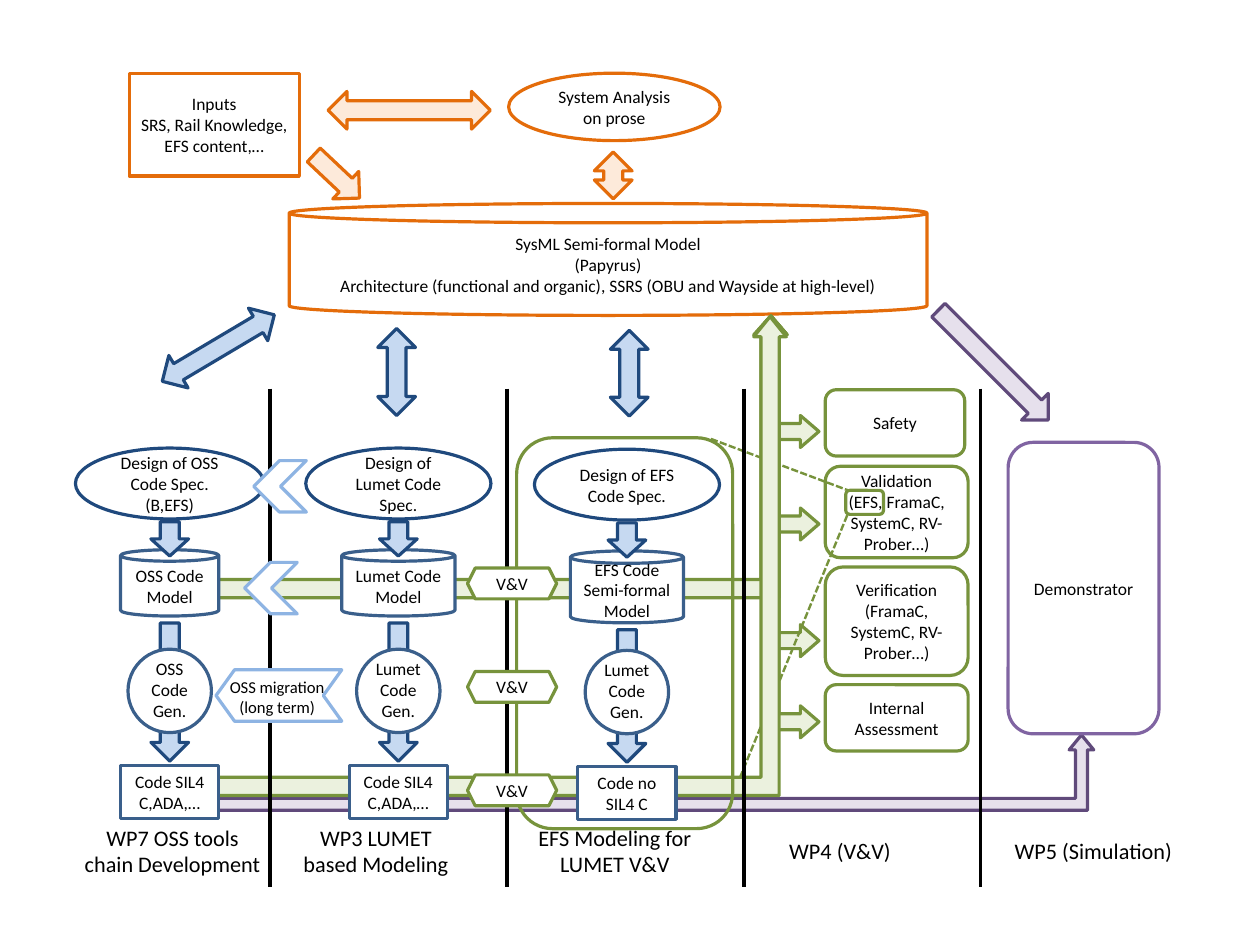
from pptx import Presentation
from pptx.dml.color import RGBColor
from pptx.enum.dml import MSO_LINE as Dash
from pptx.enum.shapes import MSO_CONNECTOR as Link, MSO_SHAPE as Kind
from pptx.enum.text import MSO_ANCHOR as Anchor, PP_ALIGN as Align
from pptx.oxml.ns import qn
from pptx.util import Cm, Inches, Pt
from lxml import etree

CELL = 0.1  # grid cell in inches; all lengths below are in cells
THICK = 3.3
WHITE, BLACK = "FFFFFF", "000000"
ORANGE, PEACH = "E46C0A", "FDEADA"
NAVY, STEEL, SKY, PALE = "1F497D", "3A5F8B", "8EB4E3", "C6D9F1"
GREEN, MINT = "77933C", "EBF1DE"
PLUM, VIOLET, LILAC = "604A7B", "8064A2", "E6E0EC"


def color(code):
    return RGBColor.from_string(code)


def grid(*cells):
    return [Inches(n * CELL) for n in cells]


def write(item, text, size):
    frame = item.text_frame
    frame.text = text
    frame.word_wrap = True
    for para in frame.paragraphs:
        para.alignment = Align.CENTER
        for run in para.runs:
            font = run.font
            font.name, font.size = "Calibri", Pt(size)
            font.color.rgb = color(BLACK)


def shape(slide, kind, box, line, fill=WHITE, text="", adj=(), turn=0):
    item = slide.shapes.add_shape(kind, *grid(*box))
    item.shadow.inherit = False
    item.rotation = turn
    for i, part in enumerate(adj):
        item.adjustments[i] = part
    if fill:
        item.fill.solid()
        item.fill.fore_color.rgb = color(fill)
    else:
        item.fill.background()
    item.line.color.rgb = color(line)
    item.line.width = Pt(2)
    if text:
        write(item, text, 11)
        item.text_frame.vertical_anchor = Anchor.MIDDLE


def label(slide, box, text, size=14, wrap=True):
    item = slide.shapes.add_textbox(*grid(*box))
    write(item, text, size)
    item.text_frame.word_wrap = wrap


def arrow(slide, kind, mid, size, line, fill, turn=0):
    """Block arrow placed by its centre and length."""
    x, y = mid
    box = (x - size / 2, y - THICK / 2, size, THICK)
    shape(slide, kind, box, line, fill, turn=turn)


def rule(slide, start, end, code, width, dash=None):
    item = slide.shapes.add_connector(Link.STRAIGHT, *grid(*start, *end))
    item.line.color.rgb = color(code)
    item.line.width = Pt(width)
    if dash:
        item.line.dash_style = dash
    etree.SubElement(item._element.spPr, qn("a:effectLst"))


def inputs(slide):
    shape(slide, Kind.CAN, (25.3, 17.8, 55.8, 9.8), ORANGE, adj=[0.173],
          text="SysML Semi-formal Model\n(Papyrus)\nArchitecture (functional and "
               "organic), SSRS (OBU and Wayside at high-level)")
    shape(slide, Kind.OVAL, (44.5, 6.4, 18.5, 5.9), ORANGE,
          text="System Analysis on prose")
    shape(slide, Kind.RECTANGLE, (11.3, 6.4, 14.9, 9), ORANGE, None,
          "Inputs\nSRS, Rail Knowledge,\nEFS content,…")
    both = Kind.LEFT_RIGHT_ARROW
    for kind, mid, size, turn in [
        (both, (35.8, 9.65), 14.2, 0),
        (both, (53.65, 15.35), 4.1, 90),
        (Kind.RIGHT_ARROW, (29.45, 15.45), 5.5, 43.3),
    ]:
        arrow(slide, kind, mid, size, ORANGE, PEACH, turn)
    for mid, size, turn in [
        ((19.1, 30.45), 11.4, 149.3),
        ((34.7, 32.55), 7.6, 90),
        ((55.05, 32.65), 7.5, 90),
    ]:
        arrow(slide, both, mid, size, NAVY, PALE, turn)


def checks(slide):
    for y, w, h, text in [
        (34.1, 12.2, 5.8, "Safety"),
        (40.8, 12.5, 8, "Validation\n(EFS, FramaC, SystemC, RV-Prober…)"),
        (49.6, 12.5, 9.5, "Verification\n(FramaC, SystemC, RV-Prober…)"),
        (59.9, 12.5, 5.8, "Internal\vAssessment"),
    ]:
        shape(slide, Kind.ROUNDED_RECTANGLE, (72.2, y, w, h), GREEN, text=text)
    shape(slide, Kind.ROUNDED_RECTANGLE, (88.2, 38.7, 13.2, 25.5), VIOLET,
          text="Demonstrator")
    arrow(slide, Kind.RIGHT_ARROW, (86.9, 31.95), 13.6, PLUM, LILAC, 45)
    mid, top, wide = 68.85, 27.65, 5.6
    for size in (11.5, 19.6, 29.8, 36.9):
        box = (mid - size / 2, top + (size - wide) / 2, size, wide)
        shape(slide, Kind.LEFT_UP_ARROW, box, GREEN, MINT,
              adj=[0.25, 0.25, 0.291], turn=90)


def zoom(slide):
    """Frame around the EFS column, tied to its mention in Validation."""
    shape(slide, Kind.ROUNDED_RECTANGLE, (74, 42.9, 3.3, 2.1), GREEN, None)
    rule(slide, (62.2, 38.4), (74.2, 42.9), GREEN, 1.5, Dash.SQUARE_DOT)
    rule(slide, (64.1, 69.6), (74.2, 44.9), GREEN, 1.5, Dash.SQUARE_DOT)
    shape(slide, Kind.BENT_UP_ARROW, (18.1, 27.7, 50.7, 41.9), GREEN, MINT,
          adj=[0.038, 0.034, 0.042])
    shape(slide, Kind.ROUNDED_RECTANGLE, (45.2, 38.3, 18.9, 34.2), GREEN, None)


def chain(slide, mid, drop, can, oval, texts):
    """One column: design, model, generator and code."""
    design, model, gen, code = texts
    wide, tall = can
    start, end = 48.7 + drop + tall, 66.6 + drop
    shape(slide, Kind.CAN, (mid - wide / 2, 48.1 + drop, wide, tall), STEEL,
          text=model, adj=[0.173])
    shape(slide, Kind.OVAL, (mid - oval / 2, 39.2 + drop, oval, 6.2), NAVY,
          text=design)
    arrow(slide, Kind.RIGHT_ARROW, (mid, (start + end) / 2), end - start,
          NAVY, PALE, 90)
    shape(slide, Kind.OVAL, (mid - 3.65, 56.8 + drop, 7.3, 7.3), STEEL)
    label(slide, (mid - 3.65, 57.1 + drop, 7.3, 6.5), gen, 11)
    shape(slide, Kind.RECTANGLE, (mid - 4.3, 67 + drop, 8.6, 4.6), STEEL,
          text=code)
    arrow(slide, Kind.RIGHT_ARROW, (mid, 47.15 + drop), 3, NAVY, PALE, 90)


def chains(slide):
    sil = "Code SIL4\nC,ADA,…"
    lumet = "Lumet\nCode\nGen."
    for i, (drop, can, oval, texts) in enumerate([
        (0, (8.6, 5.8), 16.5, ("Design of OSS Code Spec. (B,EFS)",
                               "OSS Code\nModel", "OSS\nCode\nGen.", sil)),
        (0, (9.9, 5.8), 16.2, ("Design of Lumet Code Spec.",
                               "Lumet Code\nModel", lumet, sil)),
        (0.1, (9.9, 6.3), 16.2, ("Design of EFS Code Spec.",
                                 "EFS Code\nSemi-formal Model", lumet,
                                 "Code no SIL4 C")),
    ]):
        chain(slide, 14.85 + 20 * i, drop, can, oval, texts)


def marks(slide):
    for i in range(4):
        x = 23.64 + 20.72 * i
        rule(slide, (x, 34), (x, 77.6), BLACK, 2.25)
    for x, y, w, bend in [(22.2, 40.3, 4.6, 0.5), (21.4, 49.2, 4.6, 0.5),
                          (18.9, 58.6, 11, 0.359)]:
        shape(slide, Kind.CHEVRON, (x, y, w, 4.5), SKY, adj=[bend], turn=180)
    label(slide, (19.1, 58.7, 10.3, 4.5), "OSS migration\n(long term)", 10.5, False)
    for i in range(3):
        shape(slide, Kind.HEXAGON, (40.9, 49.7 + 9.05 * i, 7.8, 2.7), GREEN,
              text="V&V")


def main():
    deck = Presentation()
    deck.slide_width = Cm(28)
    deck.slide_height = Cm(21)
    slide = deck.slides.add_slide(deck.slide_layouts[6])
    shape(slide, Kind.BENT_UP_ARROW, (18.1, 27.7, 50.7, 24.6), GREEN, MINT,
          adj=[0.065, 0.058, 0.065])
    shape(slide, Kind.BENT_UP_ARROW, (18.1, 64.3, 77.6, 6.6), PLUM, LILAC,
          adj=[0.158, 0.163, 0.199])
    inputs(slide)
    for x, y, w, h, text in [
        (5.5, 71.6, 19.2, 5.7, "WP7 OSS tools\nchain Development"),
        (25.1, 71.6, 15.6, 5.7, "WP3 LUMET based Modeling"),
        (46, 71.6, 15.6, 5.7, "EFS Modeling for\nLUMET V&V"),
        (67.8, 72.8, 11.4, 3.3, "WP4 (V&V)"),
        (87.4, 72.8, 16.5, 3.3, "WP5 (Simulation)"),
    ]:
        label(slide, (x, y, w, h), text)
    checks(slide)
    zoom(slide)
    chains(slide)
    marks(slide)
    deck.save("out.pptx")


if __name__ == "__main__":
    main()
